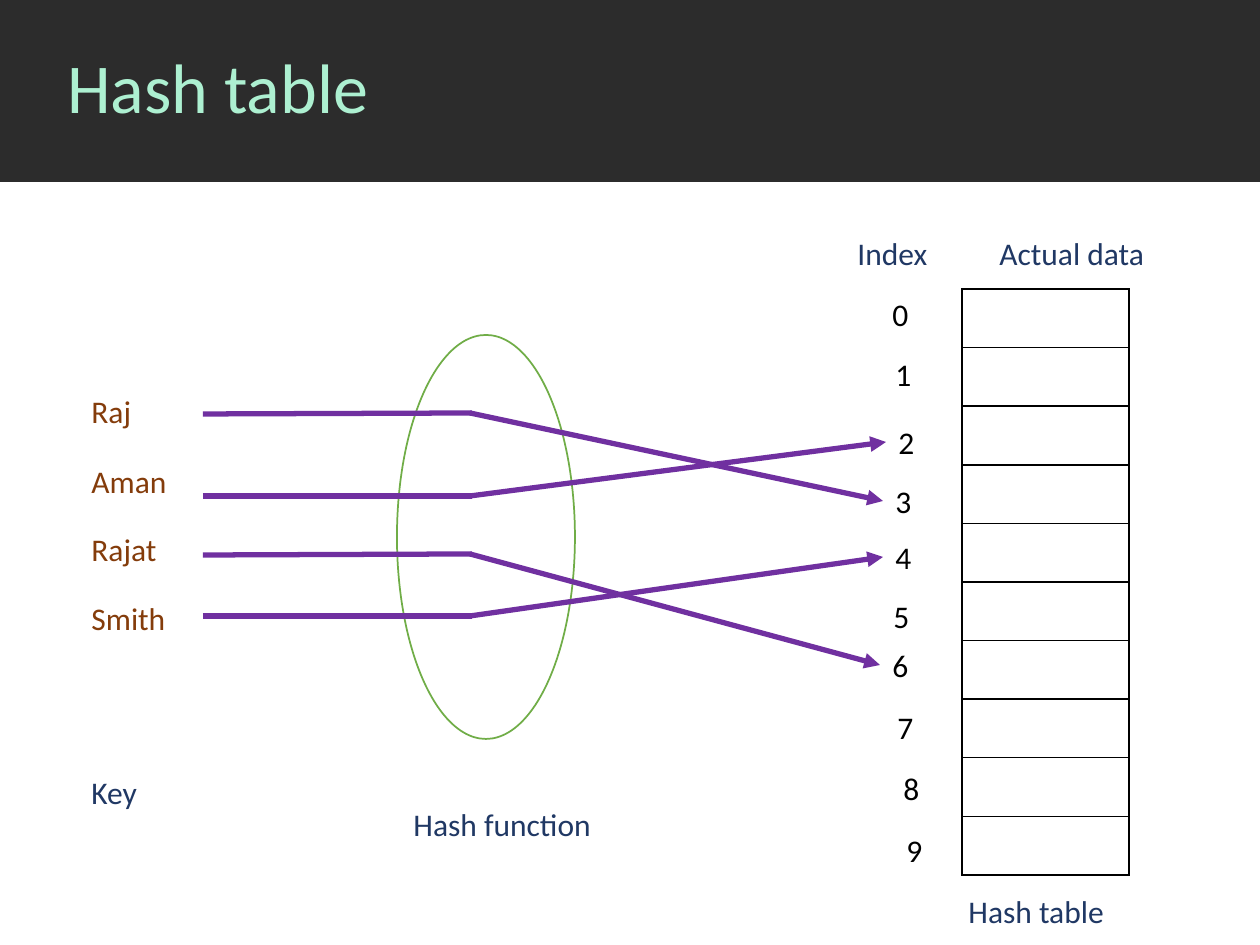
"""Build the hash table slide: keys, hash function, index numbers and data cells."""
from lxml import etree
from pptx import Presentation
from pptx.dml.color import RGBColor
from pptx.enum.shapes import MSO_CONNECTOR, MSO_SHAPE
from pptx.enum.text import MSO_ANCHOR
from pptx.oxml import parse_xml
from pptx.oxml.ns import nsdecls, qn
from pptx.util import Pt

LINE = MSO_CONNECTOR.STRAIGHT
RECT, OVAL = MSO_SHAPE.RECTANGLE, MSO_SHAPE.OVAL
MID, TOP = MSO_ANCHOR.MIDDLE, MSO_ANCHOR.TOP
UNIT = 914400 / 126
THEME = {
    "font": "Calibri", "title": 40, "body": 18, "thin": 1, "thick": 3,
    "band": "2C2C2C", "mint": "ADF0D1", "navy": "203864", "brown": "843C0B",
    "black": "000000", "white": "FFFFFF", "green": "70AD47", "violet": "7030A0",
}


def px(*nums):
    return [round(n * UNIT) for n in nums]


def label(text, left, top, wide, high=50, tone="navy", size="body", anchor=TOP):
    box = slide.shapes.add_textbox(*px(left, top, wide, high))
    frame = box.text_frame
    for name, value in {"word_wrap": True, "vertical_anchor": anchor}.items():
        setattr(frame, name, value)
    para = frame.paragraphs[0]
    run = para.add_run()
    run.text = text
    for name, value in {"name": THEME["font"], "size": Pt(THEME[size])}.items():
        setattr(run.font, name, value)
    run.font.color.rgb = RGBColor.from_string(THEME[tone])
    if size == "title":
        para.line_spacing = 0.9
    return box


deck = Presentation()
deck.slide_width, deck.slide_height = px(1260, 945)
slide = deck.slides.add_slide(deck.slide_layouts[6])

for kind, place, fill, edge in [
    (RECT, (0, 0, 1260, 182), "band", None),
    (OVAL, (397, 335, 178, 404), "white", "green"),
]:
    shape = slide.shapes.add_shape(kind, *px(*place))
    shape.shadow.inherit = False
    shape.fill.solid()
    shape.fill.fore_color.rgb = RGBColor.from_string(THEME[fill])
    if edge:
        shape.line.color.rgb = RGBColor.from_string(THEME[edge])
        shape.line.width = Pt(THEME["thin"])
    else:
        shape.line.fill.background()

label("Hash table", 55, 0, 1205, 182, "mint", "title", MID)
for text, left, top, wide in [
    ("Index", 845, 228, 106), ("Actual data", 987, 228, 184),
    ("Key", 79, 767, 184), ("Hash function", 401, 799, 223),
    ("Hash table", 956, 886, 184),
]:
    label(text, left, top, wide)

slots = [
    label(str(num), left, top, wide, tone="black")
    for num, (left, top, wide) in enumerate([
        (880, 289, 44), (883, 349, 63), (886, 417, 67), (883, 476, 63),
        (883, 532, 63), (881, 591, 63), (880, 640, 44), (885, 702, 39),
        (891, 763, 33), (894, 825, 30),
    ])
]

grid = slide.shapes.add_table(len(slots), 1, *px(962, 289, 167, 586)).table
grid.first_row = grid.horz_banding = False
for row in grid.rows:
    cell = row.cells[0]
    props = cell._tc.get_or_add_tcPr()
    for side in "LRTB":
        props.append(parse_xml(
            f'<a:ln{side} {nsdecls("a")} w="{Pt(THEME["thin"])}"><a:solidFill>'
            f'<a:srgbClr val="{THEME["black"]}"/></a:solidFill></a:ln{side}>'))
    cell.fill.background()

for key, top, start, bend, slot in [
    ("Raj", 386, 414, 413, 3), ("Aman", 456, 496, 496, 2),
    ("Rajat", 524, 555, 554, 6), ("Smith", 593, 616, 616, 4),
]:
    label(key, 79, top, 184, tone="brown")
    for ends, goal in [((203, start, 472, bend), None),
                       ((470, bend, 883, bend), slots[slot])]:
        wire = slide.shapes.add_connector(LINE, *px(*ends))
        wire.line.color.rgb = RGBColor.from_string(THEME["violet"])
        wire.line.width = Pt(THEME["thick"])
        props = wire.element.spPr
        etree.SubElement(props, qn("a:effectLst"))
        if goal:
            etree.SubElement(props.find(qn("a:ln")), qn("a:tailEnd"), type="triangle")
            wire.end_connect(goal, 1)

deck.save("out.pptx")
